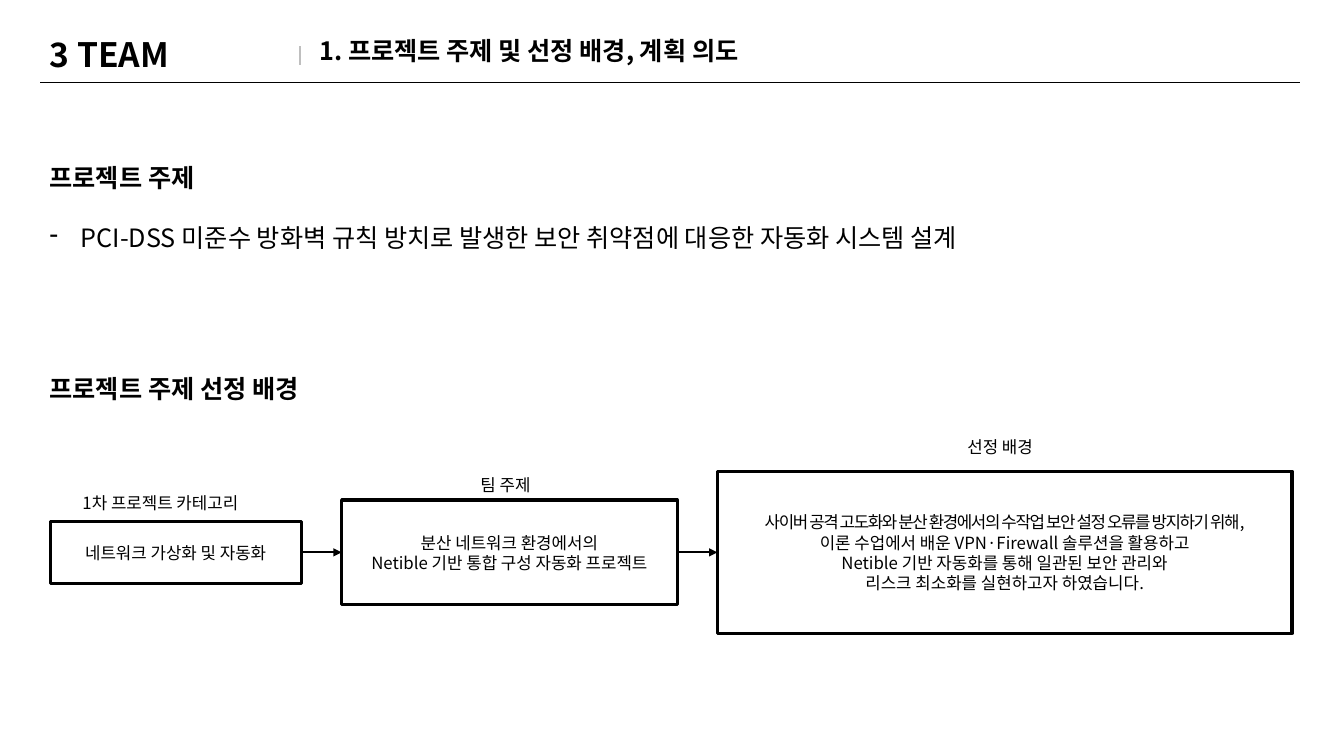
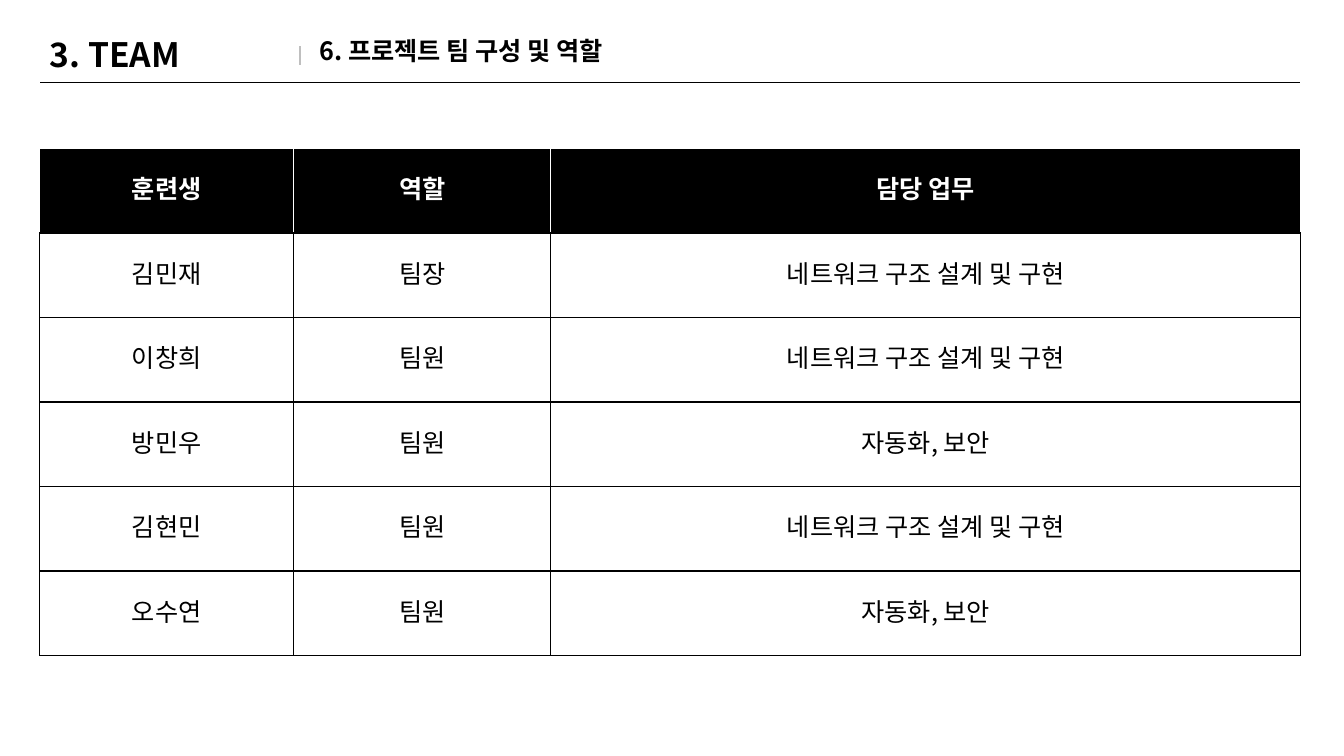
import copy
import pptx
import pptx.util
import pptx.dml.color
import pptx.enum.shapes
import pptx.enum.text
import pptx.oxml
import pptx.oxml.ns

Cm = pptx.util.Cm
Pt = pptx.util.Pt
qn = pptx.oxml.ns.qn
NS = pptx.oxml.ns.nsdecls("a")
LEFT = pptx.enum.text.PP_ALIGN.LEFT
MID = pptx.enum.text.PP_ALIGN.CENTER

FACE = "Noto Sans CJK KR"
BLACK, WHITE, GRAY = "000000", "FFFFFF", "BFBFBF"
EDGE, WIDE = 1, 31.78
HEAD = {"size": Pt(18), "bold": True}
BODY = {"size": Pt(18), "bold": False}
NOTE = {"size": Pt(12), "bold": False}
TEAM = {"size": Pt(24), "bold": True}


def hue(code):
    return pptx.dml.color.RGBColor.from_string(code)


def write(para, text, form, align=LEFT, color=BLACK, lead=1.2):
    para.text = text
    para.alignment = align
    para.line_spacing = Pt(form["size"].pt * lead)
    for run in para.runs:
        for name, value in {"name": FACE, **form}.items():
            setattr(run.font, name, value)
        run.font.color.rgb = hue(color)
        props = run._r.get_or_add_rPr()
        props.append(pptx.oxml.parse_xml(f'<a:ea {NS} typeface="{FACE}"/>'))
    for gap in para._p.findall(qn("a:br")):
        gap.append(copy.deepcopy(props))


AXIS = 13.92
boxes = [
    (1.27, 6.32, 1.57, "네트워크 가상화 및 자동화"),
    (8.61, 8.46, 2.64, "분산 네트워크 환경에서의\nNetible 기반 통합 구성 자동화 프로젝트"),
    (18.08, 14.48, 4.09,
     "사이버 공격 고도화와 분산 환경에서의 수작업 보안 설정 오류를 방지하기 위해,\n"
     "이론 수업에서 배운 VPN·Firewall 솔루션을 활용하고\n"
     "Netible 기반 자동화를 통해 일관된 보안 관리와\n"
     "리스크 최소화를 실현하고자 하였습니다."),
]
arrows = [
    (here[0] + here[1], AXIS, there[0], AXIS, BLACK, True)
    for here, there in zip(boxes, boxes[1:])
]
design, build = "네트워크 구조 설계 및 구현", "자동화, 보안"
staff = [
    ("훈련생", "역할", "담당 업무"),
    ("김민재", "팀장", design),
    ("이창희", "팀원", design),
    ("방민우", "팀원", build),
    ("김현민", "팀원", design),
    ("오수연", "팀원", build),
]
pages = [
    {
        "team": "3 TEAM",
        "texts": [
            (7.8, 0.76, 12.42, 1.02, HEAD, ["1. 프로젝트 주제 및 선정 배경, 계획 의도"]),
            (EDGE, 3.96, 26.06, 2.57, HEAD, [
                "프로젝트 주제",
                "PCI-DSS 미준수 방화벽 규칙 방치로 발생한 보안 취약점에 대응한 자동화 시스템 설계",
            ]),
            (EDGE, 9.27, 7.59, 1.02, HEAD, ["프로젝트 주제 선정 배경"]),
            (1.83, 12.29, 4.9, 0.76, NOTE, ["1차 프로젝트 카테고리"]),
            (11.86, 11.84, 1.96, 0.76, NOTE, ["팀 주제"]),
            (24.13, 10.87, 2.36, 0.76, NOTE, ["선정 배경"]),
        ],
        "boxes": boxes,
        "lines": arrows,
        "grids": [],
    },
    {
        "team": "3. TEAM",
        "texts": [(7.8, 0.76, 8.61, 1.02, HEAD, ["6. 프로젝트 팀 구성 및 역할"])],
        "boxes": [],
        "lines": [],
        "grids": [(3.74, 2.13, [6.4, 6.48, 18.9], staff)],
    },
]

deck = pptx.Presentation()
deck.slide_width, deck.slide_height = Cm(33.87), Cm(19.05)

for page in pages:
    slide = deck.slides.add_slide(deck.slide_layouts[6])
    shapes = slide.shapes

    for x, wide, high, text in page["boxes"]:
        box = shapes.add_shape(
            pptx.enum.shapes.MSO_SHAPE.RECTANGLE,
            Cm(x), Cm(AXIS - high / 2), Cm(wide), Cm(high))
        box.shadow.inherit = False
        box.fill.background()
        box.line.color.rgb = hue(BLACK)
        box.line.width = Pt(2.25)
        frame = box.text_frame
        frame.word_wrap = True
        frame.vertical_anchor = pptx.enum.text.MSO_ANCHOR.MIDDLE
        para = frame.paragraphs[0]
        write(para, text, NOTE, MID)
        if text.startswith("사이버"):
            para.runs[0]._r.get_or_add_rPr().set("spc", "-100")

    banner = (0.63, 1.45, [WIDE], [(page["team"],)])
    for top, high, cols, rows in [banner] + page["grids"]:
        grid = shapes.add_table(
            len(rows), len(cols), Cm(EDGE), Cm(top),
            Cm(WIDE), Cm(high * len(rows))).table
        grid.first_row = grid.horz_banding = False
        for col, wide in zip(grid.columns, cols):
            col.width = Cm(wide)
        for r, row in enumerate(rows):
            grid.rows[r].height = Cm(high)
            for c, text in enumerate(row):
                cell = grid.cell(r, c)
                para = cell.text_frame.paragraphs[0]
                if len(cols) == 1:
                    cell.fill.background()
                    write(para, text, TEAM, lead=1.42)
                else:
                    cell.vertical_anchor = pptx.enum.text.MSO_ANCHOR.MIDDLE
                    cell.fill.solid()
                    cell.fill.fore_color.rgb = hue(WHITE if r else BLACK)
                    write(para, text, BODY if r else HEAD, MID,
                          BLACK if r else WHITE)
                props = cell._tc.get_or_add_tcPr()
                for i, side in enumerate("LRTB"):
                    tint = BLACK if r or side == "B" else WHITE
                    props.insert(i, pptx.oxml.parse_xml(
                        f'<a:ln{side} {NS} w="12700"><a:solidFill>'
                        f'<a:srgbClr val="{tint}"/></a:solidFill></a:ln{side}>'))

    split = (7.57, 1.17, 7.57, 1.65, GRAY, False)
    for x, y, end, base, tint, arrow in [split] + page["lines"]:
        line = shapes.add_connector(
            pptx.enum.shapes.MSO_CONNECTOR.STRAIGHT,
            Cm(x), Cm(y), Cm(end), Cm(base))
        line.line.color.rgb = hue(tint)
        line.line.width = Pt(1.5)
        if arrow:
            line.line._get_or_add_ln().append(
                pptx.oxml.parse_xml(f'<a:tailEnd {NS} type="triangle"/>'))
        line._element.spPr.append(pptx.oxml.parse_xml(f"<a:effectLst {NS}/>"))

    for x, y, wide, high, form, texts in page["texts"]:
        frame = shapes.add_textbox(Cm(x), Cm(y), Cm(wide), Cm(high)).text_frame
        frame.word_wrap = False
        frame.auto_size = pptx.enum.text.MSO_AUTO_SIZE.SHAPE_TO_FIT_TEXT
        write(frame.paragraphs[0], texts[0], form)
        for text in texts[1:]:
            para = frame.add_paragraph()
            write(para, text, BODY)
            para.space_before = Pt(21.6)
            props = para._p.get_or_add_pPr()
            props.set("marL", str(Cm(0.79)))
            props.set("indent", str(-Cm(0.79)))
            props.append(pptx.oxml.parse_xml(f'<a:buChar {NS} char="-"/>'))

deck.save("out.pptx")
